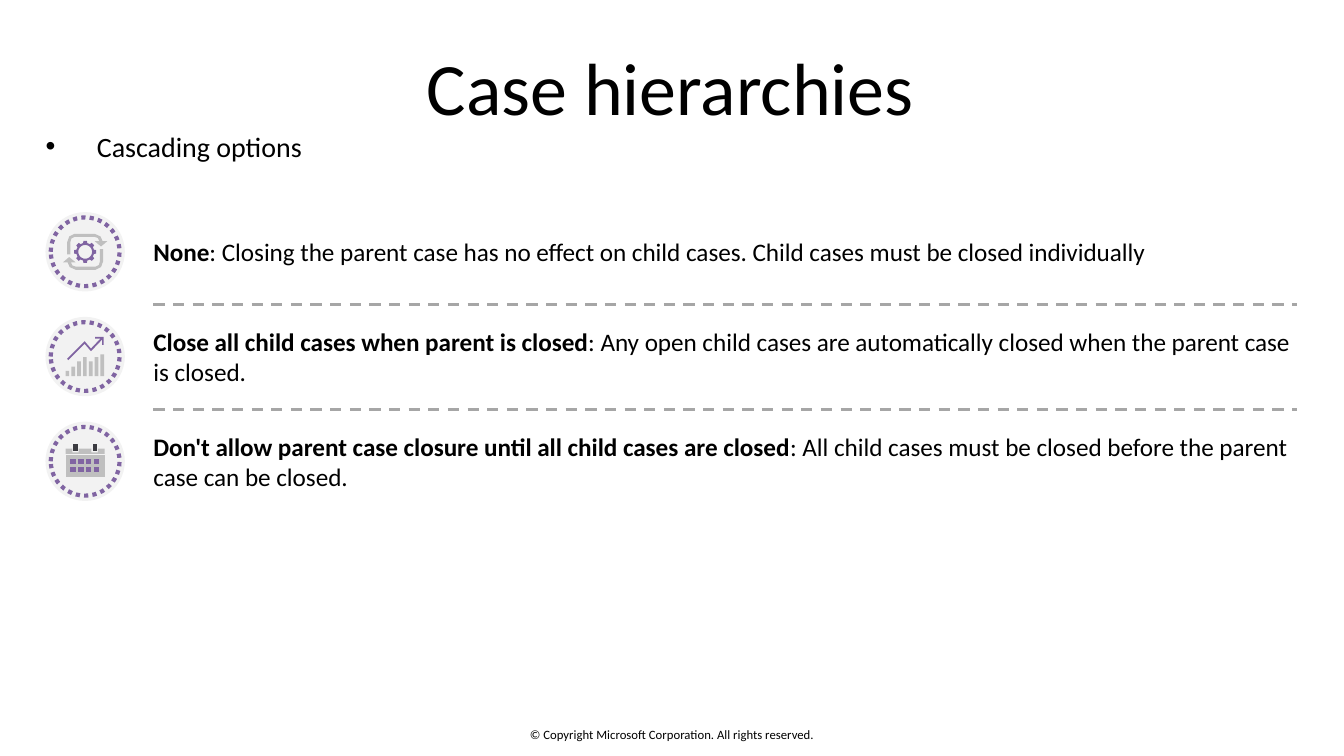
from math import cos, pi, sin

from lxml import etree
from pptx import Presentation
from pptx.dml.color import RGBColor
from pptx.enum.dml import MSO_LINE
from pptx.enum.shapes import MSO_CONNECTOR, MSO_SHAPE
from pptx.enum.text import MSO_ANCHOR, MSO_AUTO_SIZE, PP_ALIGN
from pptx.oxml.ns import qn
from pptx.util import Cm, Pt

CENTER, LEFT = PP_ALIGN.CENTER, PP_ALIGN.LEFT
TOP, MIDDLE = MSO_ANCHOR.TOP, MSO_ANCHOR.MIDDLE
OVAL, STRAIGHT = MSO_SHAPE.OVAL, MSO_CONNECTOR.STRAIGHT
DASH, DOTS = MSO_LINE.DASH, MSO_LINE.ROUND_DOT

FONT = "Calibri"
COLORS = {
    "text": "000000",
    "rule": "A6A6A6",
    "disc": "F2F2F2",
    "accent": "8064A2",
    "soft": "BFBFBF",
    "dark": "3C3C41",
}

TITLE = "Case hierarchies"
SUBTITLE = "Cascading options"
COPYRIGHT = "© Copyright Microsoft Corporation. All rights reserved."
OPTIONS = [
    ("None", ": Closing the parent case has no effect on child cases. "
             "Child cases must be closed individually"),
    ("Close all child cases when parent is closed",
     ": Any open child cases are automatically closed when the parent case is closed."),
    ("Don't allow parent case closure until all child cases are closed",
     ": All child cases must be closed before the parent case can be closed."),
]

# Row layout in centimetres
ICON_LEFT, ROWS_TOP, ROW_STEP = 0.86, 4.01, 1.98
DISC, RING = 1.5, 1.3
TEXT_LEFT, TEXT_WIDTH, TEXT_HEIGHT = 2.9, 21.63, 1.38
RULE_RIGHT, RULE_DROP = 24.51, 1.75


def rectangle(left, top, width, height):
    right, bottom = left + width, top + height
    return [(left, top), (right, top), (right, bottom), (left, bottom)]


def circle(radius, steps=24):
    return [(radius * cos(2 * pi * i / steps), radius * sin(2 * pi * i / steps))
            for i in range(steps)]


def gear(teeth=8, outer=0.21, inner=0.17):
    corners = [(-0.3, inner), (-0.2, outer), (0.2, outer), (0.3, inner)]
    return [(radius * cos(2 * pi * (tooth + offset) / teeth),
             radius * sin(2 * pi * (tooth + offset) / teeth))
            for tooth in range(teeth) for offset, radius in corners]


# Icon outlines in centimetres from the centre of the disc
CYCLE_ARROW = [
    (-0.28, -0.18), (-0.26, -0.25), (-0.2, -0.28), (0.18, -0.28), (0.24, -0.26),
    (0.27, -0.2), (0.18, -0.2), (0.3, -0.1), (0.42, -0.2), (0.33, -0.2),
    (0.29, -0.29), (0.18, -0.34), (-0.2, -0.34), (-0.3, -0.29), (-0.34, -0.18),
    (-0.34, 0.05), (-0.28, 0.05),
]
TREND_ARROW = [
    (0.19, -0.37), (0.19, -0.34), (0.29, -0.34), (0.11, -0.15), (-0.01, -0.29),
    (-0.34, 0.04), (-0.32, 0.07), (-0.01, -0.24), (0.11, -0.1), (0.32, -0.32),
    (0.32, -0.22), (0.35, -0.22), (0.35, -0.37),
]
CALENDAR_HEADER = [
    (-0.37, -0.24), (-0.24, -0.24), (-0.24, -0.17), (-0.12, -0.17),
    (-0.12, -0.24), (0.12, -0.24), (0.12, -0.17), (0.24, -0.17),
    (0.24, -0.24), (0.37, -0.24), (0.37, -0.14), (-0.37, -0.14),
]
BAR_HEIGHTS = [0.1, 0.18, 0.28, 0.36, 0.28, 0.36, 0.41]
BARS = [rectangle(-0.37 + 0.11 * i, 0.37 - height, 0.07, height)
        for i, height in enumerate(BAR_HEIGHTS)]

# Each icon is a list of (colour, contours of one shape)
CYCLE_ICON = [
    ("soft", [CYCLE_ARROW]),
    ("soft", [[(-x, -y) for x, y in CYCLE_ARROW]]),
    ("accent", [gear(), circle(0.13)]),
]
GROWTH_ICON = [("soft", BARS), ("accent", [TREND_ARROW])]
CALENDAR_ICON = [
    *[("dark", [rectangle(left, -0.32, 0.08, 0.13)]) for left in (-0.22, 0.14)],
    ("soft", [CALENDAR_HEADER]),
    ("soft", [rectangle(-0.37, -0.11, 0.74, 0.41)]),
    *[("accent", [rectangle(-0.28 + 0.15 * column, -0.04 + 0.14 * row, 0.1, 0.1)])
      for column in range(4) for row in range(2)],
]
ICONS = [CYCLE_ICON, GROWTH_ICON, CALENDAR_ICON]


def color(name):
    return RGBColor.from_string(COLORS[name])


def place(shape, left, top, width, height):
    shape.left, shape.top = Cm(left), Cm(top)
    shape.width, shape.height = Cm(width), Cm(height)


def write(box, spans, size, align=LEFT, anchor=MIDDLE):
    """Fill the box with one paragraph of (text, bold) spans."""
    frame = box.text_frame
    layout = {
        "word_wrap": True, "auto_size": MSO_AUTO_SIZE.NONE, "vertical_anchor": anchor,
        "margin_left": 0, "margin_right": 0, "margin_top": 0, "margin_bottom": 0,
    }
    for name, value in layout.items():
        setattr(frame, name, value)
    para = frame.paragraphs[0]
    para.alignment, para.space_before = align, Pt(0)
    for text, bold in spans:
        span = para.add_run()
        span.text = text
        for name, value in {"name": FONT, "size": Pt(size), "bold": bold}.items():
            setattr(span.font, name, value)
        span.font.color.rgb = color("text")
    return para


def add_circle(shapes, center, diameter):
    left, top = (value - diameter / 2 for value in center)
    shape = shapes.add_shape(OVAL, Cm(left), Cm(top), Cm(diameter), Cm(diameter))
    shape.shadow.inherit = False
    return shape


def add_outline(shapes, center, contours, fill):
    moved = [[(Cm(center[0] + x), Cm(center[1] + y)) for x, y in contour]
             for contour in contours]
    builder = shapes.build_freeform(*moved[0][0])
    for number, contour in enumerate(moved):
        if number:
            builder.move_to(*contour[0])
        builder.add_line_segments(contour[1:], close=True)
    shape = builder.convert_to_shape()
    shape.shadow.inherit = False
    shape.fill.solid()
    shape.fill.fore_color.rgb = color(fill)
    shape.line.fill.background()


def add_icon(page, center, parts):
    shapes = page.shapes.add_group_shape().shapes
    disc = add_circle(shapes, center, DISC)
    disc.fill.solid()
    disc.fill.fore_color.rgb = color("disc")
    disc.line.fill.background()
    ring = add_circle(shapes, center, RING)
    ring.fill.background()
    ring.line.color.rgb = color("accent")
    ring.line.width, ring.line.dash_style = Pt(2.25), DOTS
    for fill, contours in parts:
        add_outline(shapes, center, contours, fill)


def add_rule(page, y):
    rule = page.shapes.add_connector(
        STRAIGHT, Cm(TEXT_LEFT), Cm(y), Cm(RULE_RIGHT), Cm(y))
    rule.line.color.rgb = color("rule")
    rule.line.width, rule.line.dash_style = Pt(1.5), DASH
    etree.SubElement(rule._element.spPr, qn("a:effectLst"))


def add_text(page, area, *content, **options):
    box = page.shapes.add_textbox(*(Cm(value) for value in area))
    write(box, *content, **options)


def main():
    deck = Presentation()
    deck.slide_width, deck.slide_height = Cm(25.4), Cm(14.29)
    page = deck.slides.add_slide(deck.slide_layouts[1])

    title, body = page.placeholders
    place(title, 0.86, 0.91, 23.62, 1.42)
    write(title, [(TITLE, False)], 39.6, CENTER)
    place(body, 0.86, 2.44, 23.62, 0.64)
    para = write(body, [(SUBTITLE, False)], 15, anchor=TOP)
    properties = para._p.get_or_add_pPr()
    for name, value in {"marL": Cm(0.97), "indent": Cm(-0.97)}.items():
        properties.set(name, str(value))

    for number, ((option, effect), icon) in enumerate(zip(OPTIONS, ICONS)):
        top = ROWS_TOP + number * ROW_STEP
        middle = top + DISC / 2
        add_icon(page, (ICON_LEFT + DISC / 2, middle), icon)
        area = (TEXT_LEFT, middle - TEXT_HEIGHT / 2, TEXT_WIDTH, TEXT_HEIGHT)
        add_text(page, area, [(option, True), (effect, False)], 13.5)
        if number < len(OPTIONS) - 1:
            add_rule(page, top + RULE_DROP)

    add_text(page, (8.41, 13.74, 8.58, 0.28), [(COPYRIGHT, False)], 6.8, align=CENTER)
    deck.save("out.pptx")


if __name__ == "__main__":
    main()
